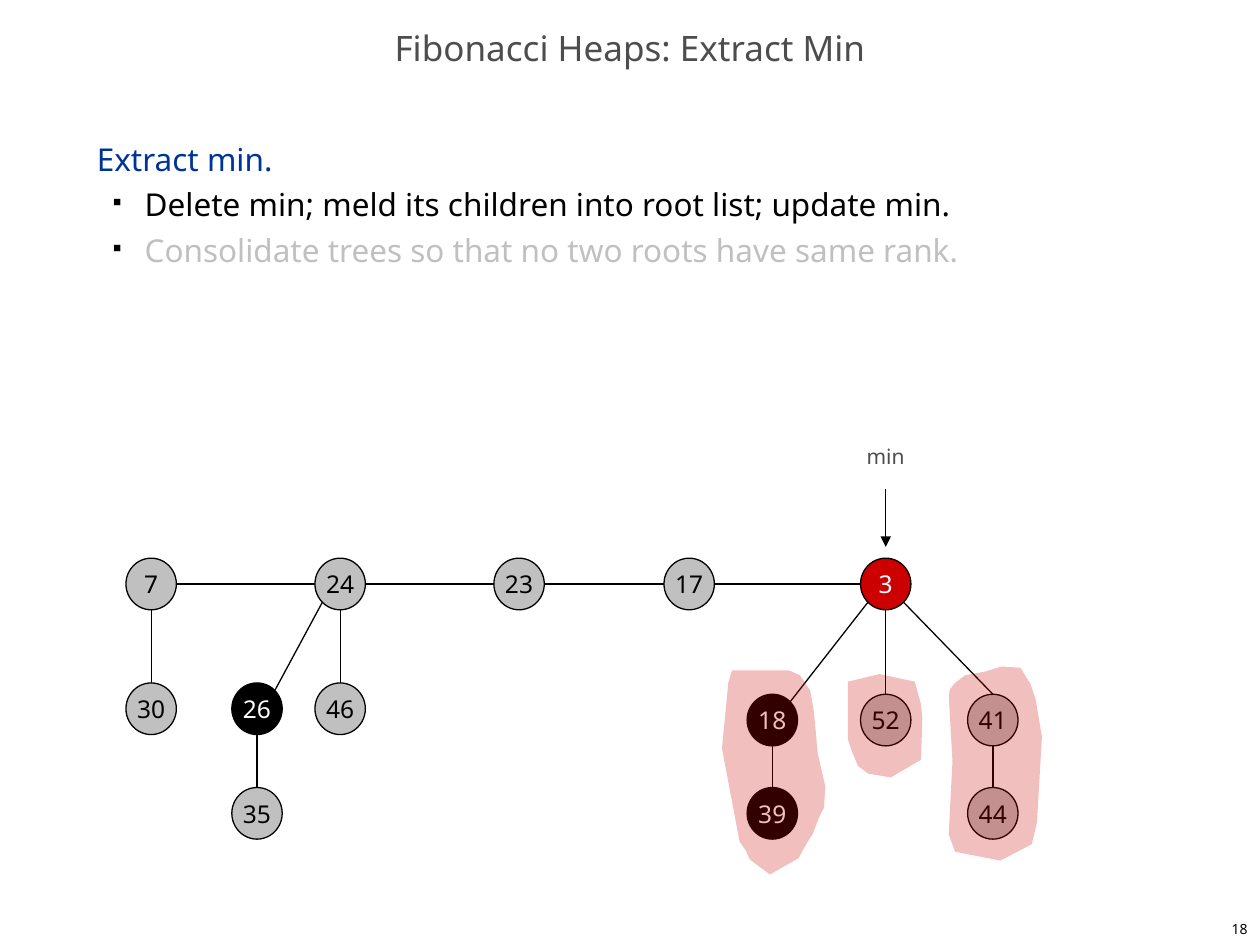
import math
import pptx
import pptx.util
import pptx.dml.color
import pptx.enum.shapes
import pptx.enum.text
import pptx.oxml
import pptx.oxml.ns
from pptx.util import Inches

FONT = "Noto Sans"
COLORS = {"black": "000000", "marked": "010000", "white": "FFFFFF", "gray": "C0C0C0",
          "red": "CC0000", "blue": "003399", "text": "4D4D4D"}
ALIGN = pptx.enum.text.PP_ALIGN
ANCHOR = pptx.enum.text.MSO_ANCHOR
AUTO_SIZE = pptx.enum.text.MSO_AUTO_SIZE

TITLE = "Fibonacci Heaps: Extract Min"
BODY = [("Extract min.", "blue", False),
        ("Delete min; meld its children into root list; update min.", "black", True),
        ("Consolidate trees so that no two roots have same rank.", "gray", True)]

# Heap nodes: key -> left, top
NODE_W, NODE_H = 0.4, 0.41
ROOT_Y, CHILD_Y, MIN_CHILD_Y, LEAF_Y = 4.43, 5.42, 5.51, 6.25
NODES = {7: (1, ROOT_Y), 24: (2.5, ROOT_Y), 23: (3.92, ROOT_Y),
         17: (5.27, ROOT_Y), 3: (6.83, ROOT_Y),
         30: (1, CHILD_Y), 26: (1.84, CHILD_Y), 46: (2.5, CHILD_Y),
         18: (5.93, MIN_CHILD_Y), 52: (6.83, MIN_CHILD_Y), 41: (7.68, MIN_CHILD_Y),
         35: (1.84, LEAF_Y), 39: (5.93, LEAF_Y), 44: (7.68, LEAF_Y)}
ROOTS = [7, 24, 23, 17, 3]
MARKED = {18, 26, 39}
MINIMUM = 3
# Parent, child, side of the parent, side of the child
TREE = [(7, 30, "bottom", "top"), (24, 46, "bottom", "top"), (26, 35, "bottom", "top"),
        (24, 26, "lower left", "upper right"), (3, 18, "lower left", "upper right"),
        (3, 52, "bottom", "top"), (3, 41, "lower right", "top"),
        (18, 39, "bottom", "top"), (41, 44, "bottom", "top")]
D = math.sqrt(0.5)
SIDES = {"top": (0, -1), "bottom": (0, 1), "left": (-1, 0), "right": (1, 0),
         "lower left": (-D, D), "lower right": (D, D), "upper right": (D, -D)}

# Outlines around the children of the minimum
HIGHLIGHTS = [
    [(5.81, 5.32), (6.26, 5.32), (6.35, 5.36), (6.43, 5.48), (6.46, 5.65), (6.49, 5.98),
     (6.55, 6.24), (6.54, 6.41), (6.5, 6.49), (6.45, 6.62), (6.41, 6.68), (6.36, 6.77),
     (6.34, 6.81), (6.27, 6.85), (6.11, 6.94), (5.95, 6.82), (5.92, 6.75), (5.87, 6.68),
     (5.73, 5.94), (5.77, 5.53), (5.78, 5.42)],
    [(6.73, 5.41), (6.98, 5.35), (7.26, 5.41), (7.31, 5.59), (7.32, 5.7), (7.31, 6.03),
     (7.07, 6.17), (6.89, 6.14), (6.81, 6.08), (6.76, 5.96), (6.73, 5.87)],
    [(7.54, 5.47), (7.58, 5.42), (7.66, 5.36), (7.82, 5.33), (7.95, 5.29), (8.1, 5.3),
     (8.18, 5.43), (8.22, 5.55), (8.27, 5.85), (8.23, 6.53), (8.19, 6.7), (7.94, 6.83),
     (7.58, 6.76), (7.53, 6.62), (7.56, 6.04), (7.53, 5.52)],
]


def rgb(name):
    return pptx.dml.color.RGBColor.from_string(COLORS[name])


def add_xml(parent, markup):
    ns = pptx.oxml.ns.nsdecls("a")
    tag, rest = markup.split(" ", 1)
    parent.append(pptx.oxml.parse_xml(f"{tag} {ns} {rest}"))


def write(para, text, size, color, align=ALIGN.LEFT):
    para.alignment = align
    span = para.add_run()
    span.text = text
    span.font.name = FONT
    span.font.size = pptx.util.Pt(size)
    span.font.color.rgb = rgb(color)


def add_text(slide, left, top, width, height, wrap=True):
    box = slide.shapes.add_textbox(*map(Inches, (left, top, width, height)))
    box.text_frame.word_wrap = wrap
    return box.text_frame


def add_line(slide, start, end, arrow=False):
    line = slide.shapes.add_connector(pptx.enum.shapes.MSO_CONNECTOR.STRAIGHT,
                                      *map(Inches, (*start, *end)))
    line.line.color.rgb = rgb("black")
    line.line.width = pptx.util.Pt(0.75)
    if arrow:
        add_xml(line.line._get_or_add_ln(), '<a:tailEnd type="triangle"/>')
    add_xml(line._element.spPr, "<a:effectLst />")


def anchor_point(key, side):
    left, top = NODES[key]
    dx, dy = SIDES[side]
    return left + NODE_W / 2 * (1 + dx), top + NODE_H / 2 * (1 + dy)


def add_node(slide, key):
    fill = "red" if key == MINIMUM else "marked" if key in MARKED else "gray"
    node = slide.shapes.add_shape(pptx.enum.shapes.MSO_SHAPE.OVAL,
                                  *map(Inches, (*NODES[key], NODE_W, NODE_H)))
    node.shadow.inherit = False
    node.fill.solid()
    node.fill.fore_color.rgb = rgb(fill)
    node.line.color.rgb = rgb("black")
    node.line.width = pptx.util.Pt(0.75)
    node.text_frame.word_wrap = False
    node.text_frame.vertical_anchor = ANCHOR.MIDDLE
    write(node.text_frame.paragraphs[0], str(key), 14,
          "black" if fill == "gray" else "white", ALIGN.CENTER)


def add_highlight(slide, outline):
    points = [(Inches(x), Inches(y)) for x, y in outline]
    builder = slide.shapes.build_freeform(*points[0])
    builder.add_line_segments(points[1:], close=True)
    blob = builder.convert_to_shape()
    blob.shadow.inherit = False
    blob.line.fill.background()
    blob.fill.solid()
    blob.fill.fore_color.rgb = rgb("red")
    color = blob._element.spPr.find(".//" + pptx.oxml.ns.qn("a:srgbClr"))
    add_xml(color, '<a:alpha val="25000"/>')


deck = pptx.Presentation()
deck.slide_width, deck.slide_height = Inches(10), Inches(7.5)
slide = deck.slides.add_slide(deck.slide_layouts[5])

# Title
title = slide.shapes.title
title.left, title.top, title.width, title.height = map(Inches, (0, 0.17, 10, 0.5))
title.text_frame.vertical_anchor = ANCHOR.MIDDLE
title.text_frame.auto_size = AUTO_SIZE.NONE
title.text_frame.paragraphs[0].line_spacing = 0.7
write(title.text_frame.paragraphs[0], TITLE, 20, "text", ALIGN.CENTER)

# Page number
number = add_text(slide, 7.92, 7.25, 2.08, 0.25)
number.vertical_anchor = ANCHOR.MIDDLE
write(number.paragraphs[0], "18", 8, "black", ALIGN.RIGHT)

# Steps
body = add_text(slide, 0.67, 1, 8.58, 5.92)
for index, (text, color, bulleted) in enumerate(BODY):
    para = body.add_paragraph() if index else body.paragraphs[0]
    para.line_spacing = pptx.util.Pt(26)
    if bulleted:
        para.level = 1
        props = para._p.get_or_add_pPr()
        props.set("marL", str(Inches(0.38)))
        props.set("indent", str(Inches(-0.25)))
        add_xml(props, f'<a:buClr ><a:srgbClr val="{COLORS["black"]}"/></a:buClr>')
        add_xml(props, '<a:buSzPct val="35000"/>')
        add_xml(props, '<a:buChar char="■"/>')
    write(para, text, 18, color)

# Heap: root list, tree edges, nodes
for left_root, right_root in zip(ROOTS, ROOTS[1:]):
    add_line(slide, anchor_point(left_root, "right"), anchor_point(right_root, "left"))
for parent, child, parent_side, child_side in TREE:
    add_line(slide, anchor_point(parent, parent_side), anchor_point(child, child_side))
for key in NODES:
    add_node(slide, key)

# Pointer to the minimum
label = add_text(slide, 6.78, 3.47, 0.5, 0.3, wrap=False)
label.auto_size = AUTO_SIZE.SHAPE_TO_FIT_TEXT
write(label.paragraphs[0], "min", 12, "text")
add_line(slide, (7.03, 3.88), (7.03, 4.34), arrow=True)

# Highlighted children
for outline in HIGHLIGHTS:
    add_highlight(slide, outline)

deck.save("out.pptx")
